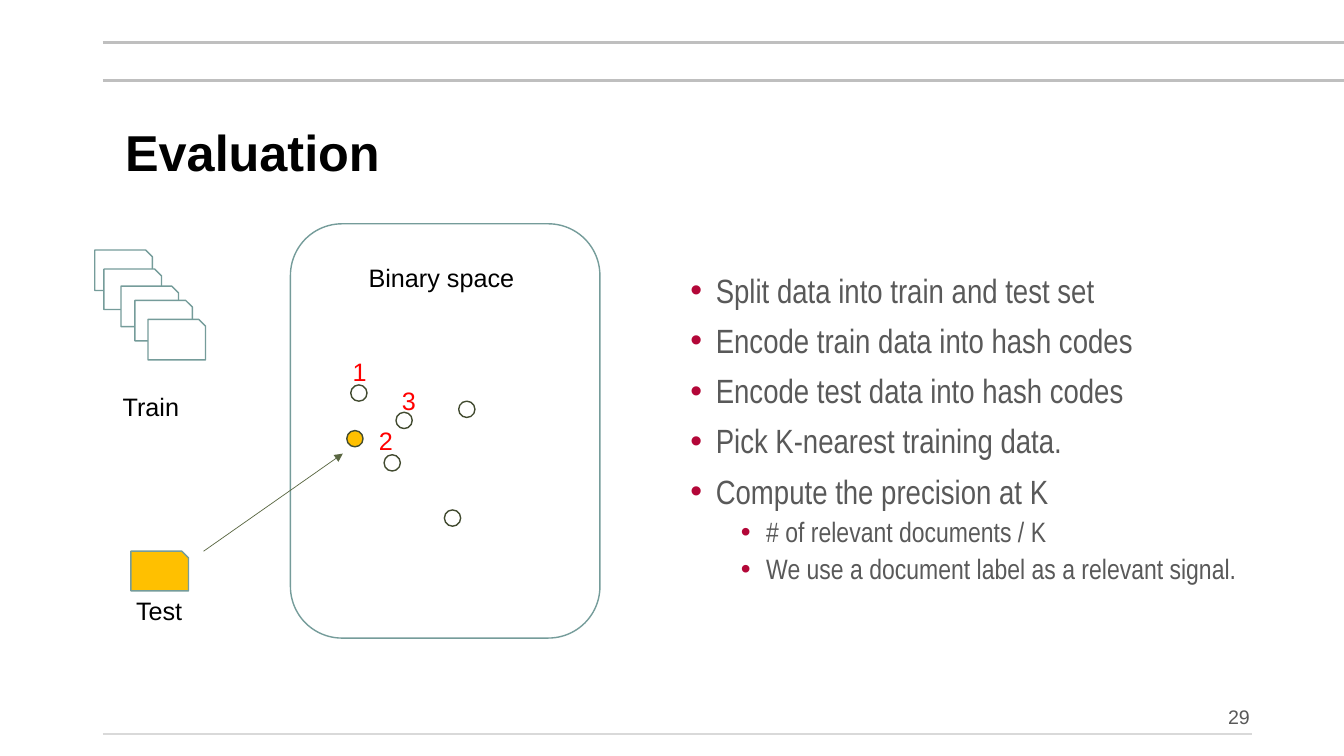
import pptx
import pptx.util
import pptx.dml.color
import pptx.enum.shapes
import pptx.enum.text
import pptx.oxml.xmlchemy

Cm, Pt = pptx.util.Cm, pptx.util.Pt
SHAPE = pptx.enum.shapes.MSO_SHAPE
ALIGN = pptx.enum.text.PP_ALIGN
ANCHOR = pptx.enum.text.MSO_ANCHOR

# Content; all lengths in centimetres
TITLE = "Evaluation"
POINTS = [
    (0, "Split data into train and test set"),
    (0, "Encode train data into hash codes"),
    (0, "Encode test data into hash codes"),
    (0, "Pick K-nearest training data."),
    (0, "Compute the precision at K"),
    (1, "# of relevant documents / K"),
    (1, "We use a document label as a relevant signal."),
]
LEVELS = [(24, 10, 0.64), (20, 5, 1.91)]  # size, space before, indent
RULES = [(2.03, 33.87, "BFBFBF"), (1.07, 33.87, "BFBFBF"),
         (18.49, 31.55, "D9D9D9")]  # y, right end, colour
TRAIN = [(2.39, 6.3), (2.62, 6.78), (3.05, 7.21), (3.4, 7.57), (3.73, 8.05)]
TEST = (3.3, 13.89)
SPACE = (7.32, 5.64, 7.8, 10.44)
DOTS = [(9.68, 11.46), (9.98, 10.39), (11.56, 10.11), (8.84, 9.7), (11.2, 12.85)]
QUERY = (8.74, 10.85)
LABELS = [
    ("Train", (2.84, 9.73, 1.96, 1.02), "000000"),
    ("Test", (3.18, 14.88, 1.68, 1.02), "000000"),
    ("Binary space", (9.04, 6.48, 4.22, 1.02), "000000"),
    ("1", (8.64, 8.86, 0.86, 1.02), "FF0000"),
    ("2", (9.3, 10.59, 0.86, 1.02), "FF0000"),
    ("3", (9.88, 9.58, 0.86, 1.02), "FF0000"),
]
WHITE, GOLD, TEAL, OLIVE, GREY = "FFFFFF", "FFC000", "759C9A", "424B30", "595959"

deck = pptx.Presentation()
deck.slide_width, deck.slide_height = Cm(33.87), Cm(19.05)
slide = deck.slides.add_slide(deck.slide_layouts[5])
shapes = slide.shapes


def rgb(code):
    return pptx.dml.color.RGBColor.from_string(code)


def style(para, size, color, face="Arial", bold=False):
    font = para.font
    font.name, font.size, font.bold = face, Pt(size), bold
    font.color.rgb = rgb(color)


def node(parent, tag, **attrs):
    """Append a drawing element with the given attributes."""
    child = pptx.oxml.xmlchemy.OxmlElement(tag)
    for key, value in attrs.items():
        child.set(key, value)
    parent.append(child)
    return child


def text(words, box, color, size=18):
    frame = shapes.add_textbox(*map(Cm, box)).text_frame
    frame.word_wrap = False
    para = frame.paragraphs[0]
    para.text = words
    style(para, size, color)
    return frame


def draw(kind, box, fill, line):
    shape = shapes.add_shape(kind, *map(Cm, box))
    shape.shadow.inherit = False
    shape.fill.solid()
    shape.fill.fore_color.rgb = rgb(fill)
    shape.line.color.rgb = rgb(line)
    shape.line.width = Pt(1)


def link(start, end, color, width):
    line = shapes.add_connector(pptx.enum.shapes.MSO_CONNECTOR.STRAIGHT,
                                *map(Cm, start + end))
    line.line.color.rgb = rgb(color)
    line.line.width = Pt(width)
    node(line._element.spPr, "a:effectLst")
    return line


def bullet(para, level):
    size, space, indent = LEVELS[level]
    props = para._p.get_or_add_pPr()
    props.set("marL", str(Cm(indent)))
    props.set("indent", str(-Cm(0.64)))
    node(node(props, "a:buClr"), "a:srgbClr", val="B30738")
    node(props, "a:buFont", typeface="Arial")
    node(props, "a:buChar", char="•")
    para.level = level
    para.line_spacing = 0.9
    para.space_before = Pt(space)
    style(para, size, GREY, "Arial Narrow")


for y, right, color in RULES:
    link((2.59, y), (right, y), color, 1.5)

title = shapes.title
title.left, title.top, title.width, title.height = map(Cm, (2.9, 2.31, 28.93, 3.18))
title.text = TITLE
title.text_frame.vertical_anchor = ANCHOR.MIDDLE
head = title.text_frame.paragraphs[0]
head.alignment = ALIGN.LEFT
head.line_spacing = 0.9
style(head, 36, "000000", bold=True)

body = shapes.add_textbox(*map(Cm, (17.15, 6.78, 14.4, 10.64))).text_frame
body.word_wrap = True
for i, (level, words) in enumerate(POINTS):
    para = body.add_paragraph() if i else body.paragraphs[0]
    para.text = words
    bullet(para, level)
body.paragraphs[0].space_before = Pt(0)

for spot in TRAIN:
    draw(SHAPE.SNIP_1_RECTANGLE, spot + (1.45, 1.02), WHITE, TEAL)
draw(SHAPE.SNIP_1_RECTANGLE, TEST + (1.45, 1), GOLD, TEAL)
draw(SHAPE.ROUNDED_RECTANGLE, SPACE, WHITE, TEAL)
for spot in DOTS:
    draw(SHAPE.OVAL, spot + (0.41, 0.41), WHITE, OLIVE)
draw(SHAPE.OVAL, QUERY + (0.41, 0.41), GOLD, OLIVE)

arrow = link((5.13, 13.89), (8.64, 11.43), "596641", 0.5)
node(arrow.get_or_add_ln(), "a:tailEnd", type="triangle")

for label in LABELS:
    text(*label)

page = text("29", (20.98, 17.37, 10.77, 1.12), GREY, 14)
page.word_wrap = True
page.vertical_anchor = ANCHOR.BOTTOM
page.paragraphs[0].alignment = ALIGN.RIGHT
page.paragraphs[0].line_spacing = 0.9

deck.save("out.pptx")
